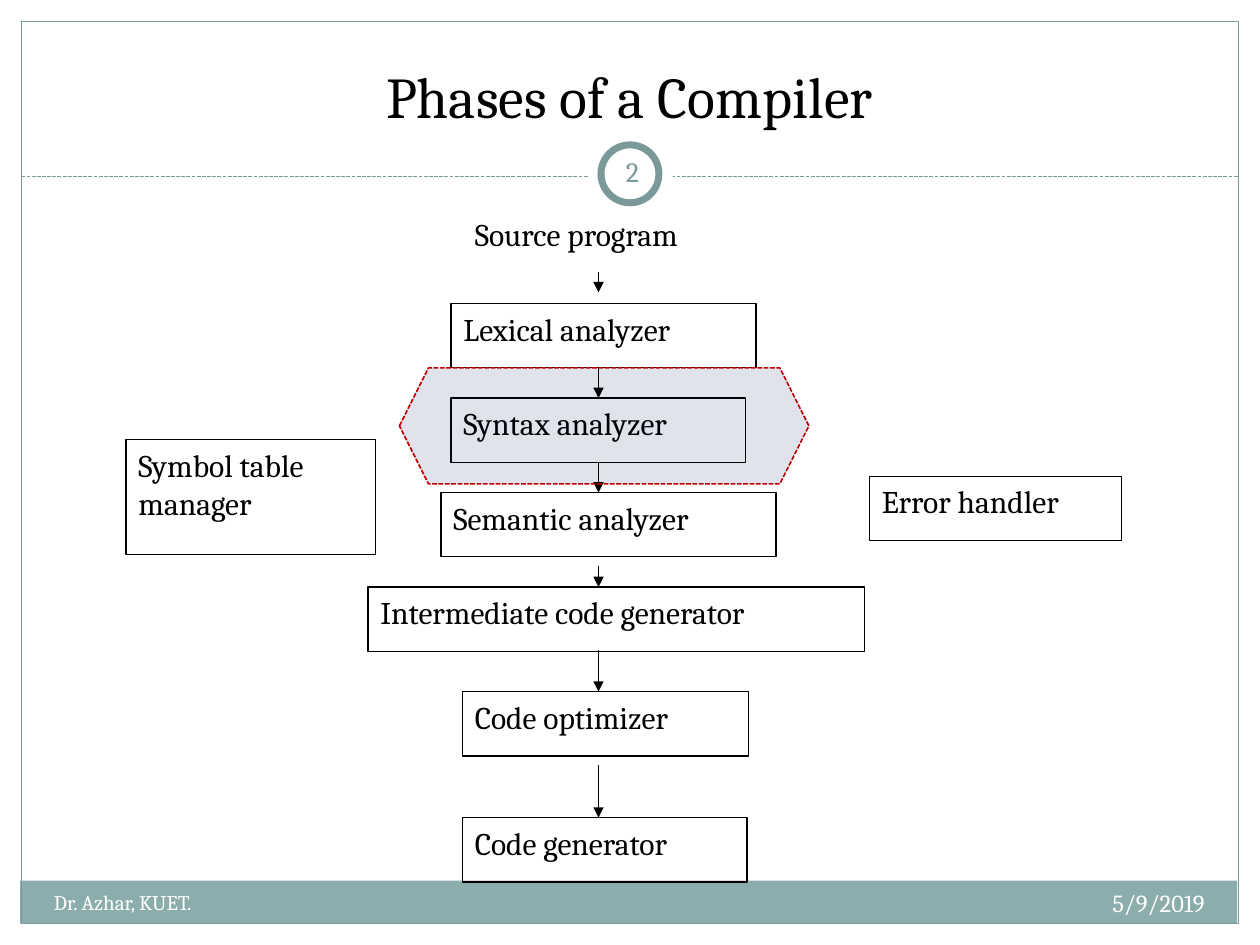
"""Build a slide showing the phases of a compiler as a flow chart."""
from dataclasses import dataclass
from typing import Optional

from lxml.etree import SubElement
from pptx import Presentation
from pptx.dml.color import RGBColor
from pptx.enum.dml import MSO_LINE
from pptx.enum.shapes import MSO_CONNECTOR, MSO_SHAPE
from pptx.enum.text import MSO_ANCHOR, PP_ALIGN
from pptx.oxml.ns import qn
from pptx.util import Inches, Pt

BLACK = RGBColor(0x00, 0x00, 0x00)
WHITE = RGBColor(0xFF, 0xFF, 0xFF)
TEAL = RGBColor(0x7C, 0x99, 0x9A)
BAND = RGBColor(0x8C, 0xAD, 0xAE)
NAVY = RGBColor(0x00, 0x20, 0x60)
RED = RGBColor(0xC0, 0x00, 0x00)
FONT = "Cambria"
AXIS = 4.75


@dataclass
class Area:
    left: float
    top: float
    width: float
    height: float

    def size(self) -> tuple:
        return tuple(map(Inches, (self.left, self.top, self.width, self.height)))


@dataclass
class Box:
    text: str
    area: Area


@dataclass
class Label:
    text: str
    area: Area
    size: float
    color: RGBColor = BLACK
    align: PP_ALIGN = PP_ALIGN.LEFT
    anchor: MSO_ANCHOR = MSO_ANCHOR.TOP
    inset: Optional[float] = None


@dataclass
class Arrow:
    start: float
    end: float
    source: Optional[str] = None
    target: Optional[str] = None


LABELS = [
    Label("Phases of a Compiler", Area(0.33, 0.25, 9.33, 0.83), 33,
          align=PP_ALIGN.CENTER, anchor=MSO_ANCHOR.BOTTOM),
    Label("5/9/2019", Area(6.33, 7, 3.33, 0.4), 14, WHITE, PP_ALIGN.RIGHT),
    Label("Dr. Azhar, KUET.", Area(0.33, 7.01, 3.92, 0.4), 12, WHITE),
    Label("2", Area(4.77, 1.12, 0.5, 0.48), 16, TEAL, PP_ALIGN.CENTER,
          MSO_ANCHOR.MIDDLE, 0.05),
    Label("Source program", Area(3.67, 1.66, 2.34, 0.5), 18),
]
BOXES = [
    Box("Lexical analyzer", Area(3.58, 2.41, 2.42, 0.51)),
    Box("Syntax analyzer", Area(3.58, 3.16, 2.34, 0.51)),
    Box("Semantic analyzer", Area(3.5, 3.91, 2.66, 0.51)),
    Box("Intermediate code generator", Area(2.92, 4.66, 3.94, 0.51)),
    Box("Code optimizer", Area(3.67, 5.49, 2.27, 0.51)),
    Box("Code generator", Area(3.67, 6.49, 2.26, 0.51)),
    Box("Symbol table\nmanager", Area(1, 3.49, 1.98, 0.91)),
    Box("Error handler", Area(6.9, 3.78, 2, 0.51)),
]
ARROWS = [
    Arrow(2.16, 2.32),
    Arrow(2.91, 3.16, target="Syntax analyzer"),
    Arrow(3.67, 3.91, source="Syntax analyzer"),
    Arrow(4.49, 4.66),
    Arrow(5.16, 5.49),
    Arrow(6.07, 6.49),
]


def add_form(slide, kind: MSO_SHAPE, area: Area, fill: Optional[RGBColor] = None,
             line: Optional[RGBColor] = None, width: float = 0.75):
    """Add a preset shape with a plain fill and line."""
    form = slide.shapes.add_shape(kind, *area.size())
    form.shadow.inherit = False
    if fill is None:
        form.fill.background()
    else:
        form.fill.solid()
        form.fill.fore_color.rgb = fill
    if line is None:
        form.line.fill.background()
    else:
        form.line.color.rgb = line
        form.line.width = Pt(width)
    return form


def add_line(slide, start: tuple, end: tuple, color: RGBColor):
    """Add a thin straight connector without a shadow."""
    line = slide.shapes.add_connector(
        MSO_CONNECTOR.STRAIGHT, *map(Inches, (*start, *end)))
    line.line.color.rgb = color
    line.line.width = Pt(0.75)
    SubElement(line._element.spPr, qn("a:effectLst"))
    return line


def set_text(frame, text: str, size: float, color: RGBColor,
             align: PP_ALIGN = PP_ALIGN.LEFT,
             anchor: MSO_ANCHOR = MSO_ANCHOR.TOP) -> None:
    """Fill a text frame and style its paragraphs."""
    frame.text = text
    frame.word_wrap = True
    frame.vertical_anchor = anchor
    for para in frame.paragraphs:
        para.alignment = align
        para.font.name = FONT
        para.font.size = Pt(size)
        para.font.color.rgb = color


def add_label(slide, label: Label) -> None:
    """Add a text box."""
    frame = slide.shapes.add_textbox(*label.area.size()).text_frame
    set_text(frame, label.text, label.size, label.color, label.align, label.anchor)
    if label.inset is not None:
        frame.margin_left = frame.margin_right = Inches(label.inset)
        frame.margin_top = frame.margin_bottom = Inches(label.inset)


def add_box(slide, box: Box):
    """Add an outlined box with its text."""
    form = add_form(slide, MSO_SHAPE.RECTANGLE, box.area, line=BLACK)
    set_text(form.text_frame, box.text, 18, BLACK)
    return form


def add_arrow(slide, arrow: Arrow, forms: dict) -> None:
    """Add a downward arrow on the axis, joined to the boxes it names."""
    line = add_line(slide, (AXIS, arrow.start), (AXIS, arrow.end), BLACK)
    if arrow.source:
        line.begin_connect(forms[arrow.source], 2)
    if arrow.target:
        line.end_connect(forms[arrow.target], 0)
    SubElement(line.line._get_or_add_ln(), qn("a:tailEnd"), type="triangle")


def add_frame(slide) -> None:
    """Add the margins, footer band, border, divider and number ring."""
    for area in (Area(0, 0, 10, 1.52), Area(0, 0, 0.17, 7.5),
                 Area(9.83, 0, 0.17, 7.5)):
        add_form(slide, MSO_SHAPE.RECTANGLE, area, WHITE)
    add_form(slide, MSO_SHAPE.RECTANGLE, Area(0.16, 6.99, 9.66, 0.34), BAND)
    add_form(slide, MSO_SHAPE.RECTANGLE, Area(0.17, 0.17, 9.66, 7.16), line=TEAL)
    rule = add_line(slide, (0.17, 1.4), (9.83, 1.4), TEAL)
    rule.line.dash_style = MSO_LINE.SQUARE_DOT
    add_form(slide, MSO_SHAPE.OVAL, Area(4.67, 1.05, 0.67, 0.67), WHITE)
    add_form(slide, MSO_SHAPE.OVAL, Area(4.77, 1.15, 0.46, 0.46), line=TEAL, width=4)


def add_focus(slide) -> None:
    """Add the sheer hexagon that marks the syntax analyzer."""
    form = add_form(slide, MSO_SHAPE.HEXAGON, Area(3.17, 2.92, 3.25, 0.92),
                    NAVY, RED, 0.9)
    form.line.dash_style = MSO_LINE.SQUARE_DOT
    tint = form._element.spPr.find(qn("a:solidFill")).find(qn("a:srgbClr"))
    SubElement(tint, qn("a:alpha"), val="12000")


def main() -> None:
    """Build and save the slide."""
    deck = Presentation()
    deck.slide_width, deck.slide_height = Inches(10), Inches(7.5)
    slide = deck.slides.add_slide(deck.slide_layouts[6])
    add_frame(slide)
    for label in LABELS:
        add_label(slide, label)
    forms = {box.text: add_box(slide, box) for box in BOXES}
    for arrow in ARROWS:
        add_arrow(slide, arrow, forms)
    add_focus(slide)
    deck.save("out.pptx")


if __name__ == "__main__":
    main()
